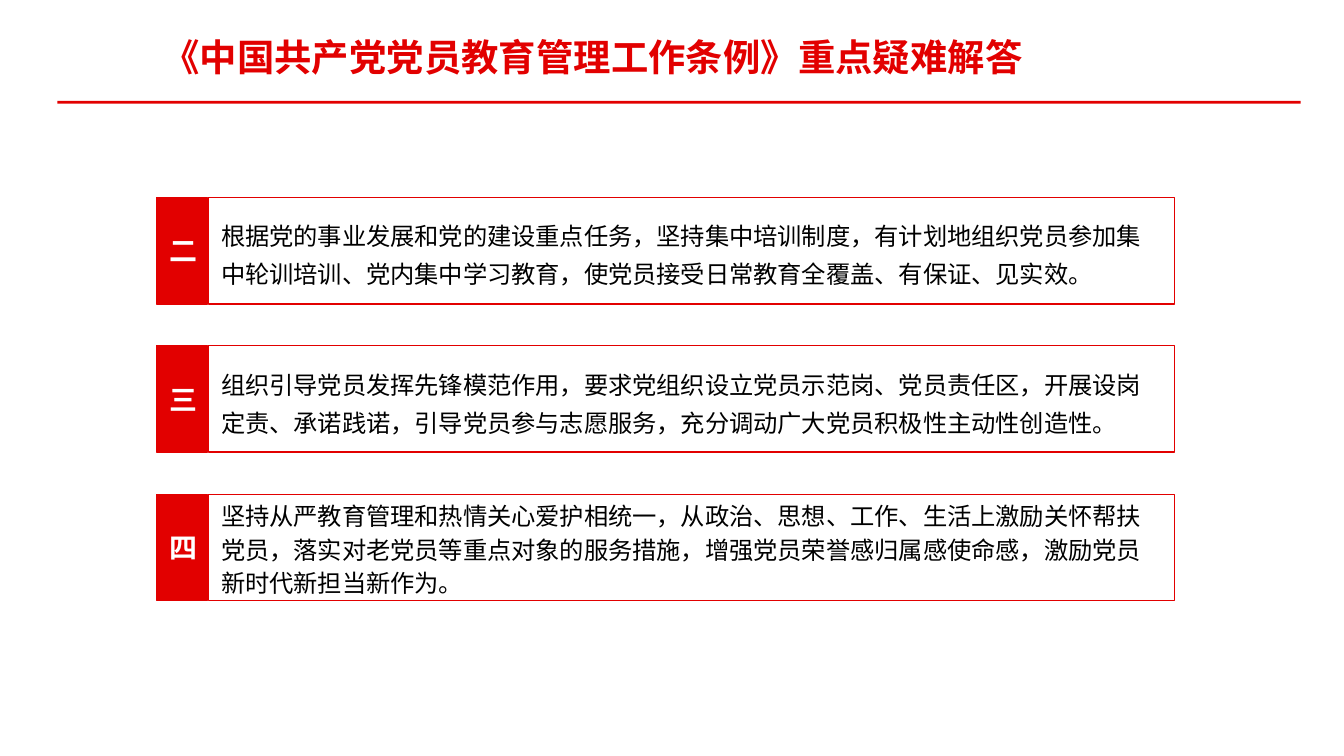
from dataclasses import dataclass

from lxml.etree import SubElement
from pptx import Presentation
from pptx.dml.color import RGBColor
from pptx.enum.shapes import MSO_SHAPE
from pptx.enum.text import MSO_ANCHOR, MSO_AUTO_SIZE, PP_ALIGN
from pptx.oxml.ns import qn
from pptx.shapes.autoshape import Shape
from pptx.slide import Slide
from pptx.text.text import TextFrame
from pptx.util import Emu, Pt

EMU_PER_PX = 9525  # 96 px to the inch
FONT = "Vollkorn"
COLORS = {"red": "E20000", "white": "FFFFFF", "black": "000000"}

PANEL_TOP, PANEL_STEP, PANEL_HEIGHT = 141, 106, 76
LABEL_LEFT, LABEL_WIDTH = 112, 36
BODY_LEFT, BODY_WIDTH = 149, 690


@dataclass(frozen=True)
class Panel:
    label: str
    body: str
    line_spacing: float = 1.3


PANELS = [
    Panel("二", "根据党的事业发展和党的建设重点任务，坚持集中培训制度，有计划地组织党员参加集"
          "中轮训培训、党内集中学习教育，使党员接受日常教育全覆盖、有保证、见实效。"),
    Panel("三", "组织引导党员发挥先锋模范作用，要求党组织设立党员示范岗、党员责任区，开展设岗"
          "定责、承诺践诺，引导党员参与志愿服务，充分调动广大党员积极性主动性创造性。"),
    Panel("四", "坚持从严教育管理和热情关心爱护相统一，从政治、思想、工作、生活上激励关怀帮扶"
          "党员，落实对老党员等重点对象的服务措施，增强党员荣誉感归属感使命感，激励党员"
          "新时代新担当新作为。", 1.14),
]


def px(length: int) -> Emu:
    return Emu(length * EMU_PER_PX)


def color(name: str) -> RGBColor:
    return RGBColor.from_string(COLORS[name])


def write(frame: TextFrame, text: str, size: int, color_name: str, bold: bool = False,
          line_spacing: float = 1.0, inset_x: int = 9, inset_y: int = 5) -> None:
    """Fill a frame with one left-aligned, vertically centred paragraph."""
    frame.word_wrap = True
    frame.auto_size = MSO_AUTO_SIZE.NONE
    frame.vertical_anchor = MSO_ANCHOR.MIDDLE
    frame.margin_left = frame.margin_right = px(inset_x)
    frame.margin_top = frame.margin_bottom = px(inset_y)
    para = frame.paragraphs[0]
    para.text = text
    para.alignment = PP_ALIGN.LEFT
    para.line_spacing = line_spacing
    span = para.runs[0]
    span.font.name = FONT
    span.font.size = Pt(size)
    span.font.bold = bold
    span.font.color.rgb = color(color_name)
    SubElement(span.font._element, qn("a:ea"), typeface=FONT)


def add_title(page: Slide, text: str) -> None:
    title = page.shapes.title
    title.left, title.top, title.width, title.height = px(109), px(21), px(650), px(39)
    write(title.text_frame, text, 20, "red", bold=True, inset_x=7, inset_y=4)


def add_title_rule(page: Slide) -> None:
    rule = page.shapes.add_shape(MSO_SHAPE.RECTANGLE, px(41), px(72), px(888), px(2))
    rule.shadow.inherit = False
    rule.fill.solid()
    rule.fill.fore_color.rgb = color("red")
    rule.line.fill.background()


def add_panel(page: Slide, panel: Panel, top: int) -> None:
    group = page.shapes.add_group_shape()

    def add_box(left: int, width: int) -> Shape:
        box = group.shapes.add_shape(
            MSO_SHAPE.ROUNDED_RECTANGLE, px(left), px(top), px(width), px(PANEL_HEIGHT))
        box.adjustments[0] = 0
        box.shadow.inherit = False
        box.line.color.rgb = color("red")
        box.line.width = Pt(0.75)
        return box

    label = add_box(LABEL_LEFT, LABEL_WIDTH)
    label.fill.solid()
    label.fill.fore_color.rgb = color("red")
    write(label.text_frame, panel.label, 15, "white", bold=True)

    body = add_box(BODY_LEFT, BODY_WIDTH)
    body.fill.background()
    write(body.text_frame, panel.body, 13, "black", line_spacing=panel.line_spacing)


def main() -> None:
    deck = Presentation()
    deck.slide_width, deck.slide_height = px(960), px(540)
    page = deck.slides.add_slide(deck.slide_layouts.get_by_name("Title Only"))
    add_title_rule(page)
    add_title(page, "《中国共产党党员教育管理工作条例》重点疑难解答")
    for index, panel in enumerate(PANELS):
        add_panel(page, panel, PANEL_TOP + index * PANEL_STEP)
    deck.save("out.pptx")


if __name__ == "__main__":
    main()
